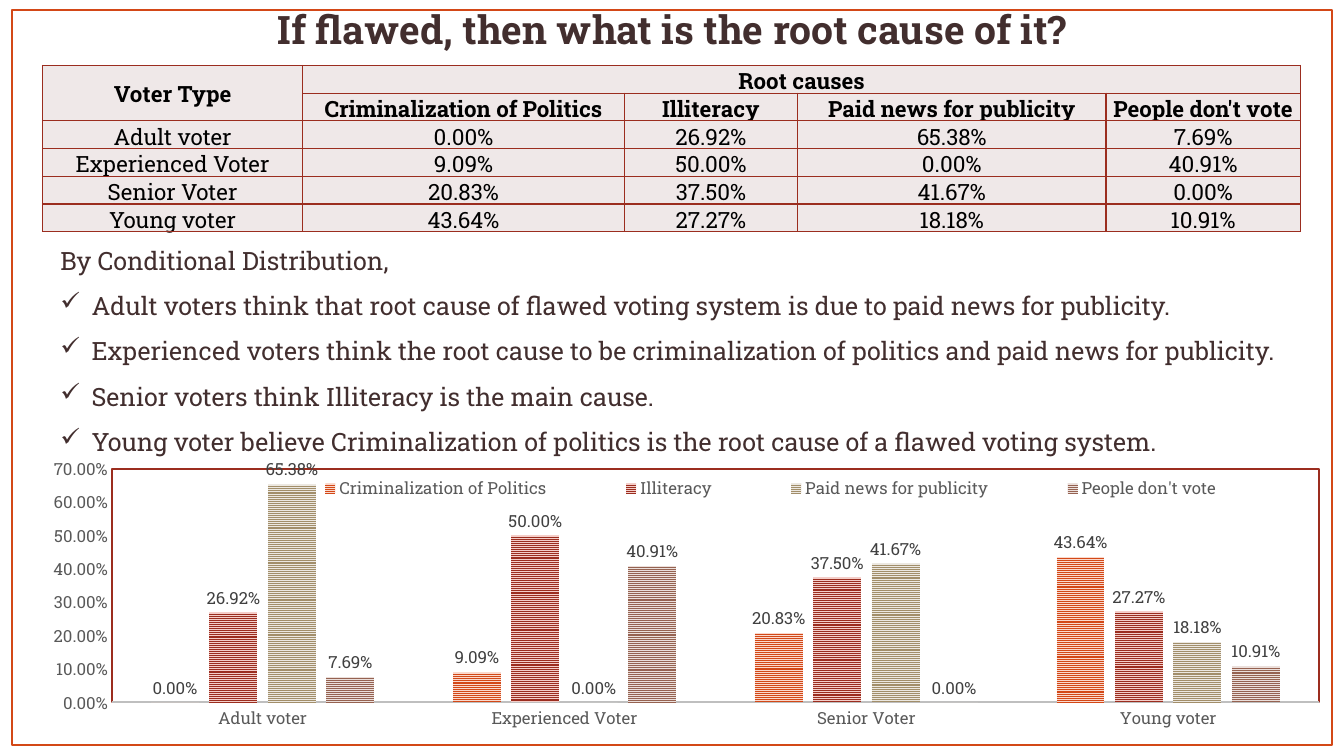
from pptx import Presentation
from pptx.chart.data import CategoryChartData as ChartData
from pptx.dml.color import RGBColor
from pptx.enum.chart import XL_CHART_TYPE as ChartType
from pptx.enum.chart import XL_LABEL_POSITION as LabelPos
from pptx.enum.chart import XL_LEGEND_POSITION as LegendPos
from pptx.enum.chart import XL_TICK_MARK as Tick
from pptx.enum.dml import MSO_PATTERN as Pattern
from pptx.enum.shapes import MSO_SHAPE as Shape
from pptx.enum.text import MSO_ANCHOR as Anchor
from pptx.enum.text import PP_ALIGN as Align
from pptx.oxml import parse_xml
from pptx.oxml.ns import nsdecls, qn
from pptx.oxml.xmlchemy import OxmlElement as Element
from pptx.util import Cm, Pt

FACE = "Roboto Slab"
DARK, RUST, ORANGE = "422E2E", "9B2D1F", "D34817"
FORMAT = "0.00%"

CAUSES = ["Criminalization of Politics", "Illiteracy",
          "Paid news for publicity", "People don't vote"]
VOTERS = {
    "Adult voter": [0, 0.2692, 0.6538, 0.0769],
    "Experienced Voter": [0.0909, 0.5, 0, 0.4091],
    "Senior Voter": [0.2083, 0.375, 0.4167, 0],
    "Young voter": [0.4364, 0.2727, 0.1818, 0.1091],
}
STRIPES = [(ORANGE, "FAD9CD"), (RUST, "F4CEC9"),
           ("A28E6A", "ECE8E1"), ("956251", "EBDFDB")]
POINTS = [
    "Adult voters think that root cause of flawed voting system is due to paid news for publicity.",
    "Experienced voters think the root cause to be criminalization of politics and paid news for publicity.",
    "Senior voters think Illiteracy is the main cause.",
    "Young voter believe Criminalization of politics is the root cause of a flawed voting system.",
]


def paint(color, value):
    color.rgb = RGBColor.from_string(value)


def style(font, size, color, bold=False):
    font.name, font.size, font.bold = FACE, Pt(size), bold
    paint(font.color, color)


def add_text(slide, top, height, lines, size, spacing, bold=False):
    """Add a text box as wide as the slide and return its paragraphs."""
    box = slide.shapes.add_textbox(0, Cm(top), Cm(33.87), Cm(height))
    frame = box.text_frame
    frame.word_wrap = True
    frame.text = "\n".join(lines)
    for para in frame.paragraphs:
        para.line_spacing = spacing
        style(para.font, size, DARK, bold)
    return frame.paragraphs


def indent(para, left, hang=0, mark=None):
    props = para._p.get_or_add_pPr()
    props.set("marL", str(Cm(left)))
    props.set("indent", str(-Cm(hang)))
    if mark:
        bullet = Element("a:buChar")
        bullet.set("char", mark)
        props.find(qn("a:defRPr")).addprevious(bullet)


def fill_cell(cell, text, bold):
    cell.text = text
    cell.vertical_anchor = Anchor.MIDDLE
    cell.margin_left = cell.margin_right = cell.margin_top = Cm(0.02)
    cell.margin_bottom = 0
    para = cell.text_frame.paragraphs[0]
    para.alignment = Align.CENTER
    style(para.font, 16, "000000", bold)
    cell.fill.solid()
    paint(cell.fill.fore_color, "EFE8E8")
    props = cell._tc.get_or_add_tcPr()
    for place, side in enumerate("LRTB"):
        props.insert(place, parse_xml(
            f'<a:ln{side} {nsdecls("a")} w="{Pt(1)}"><a:solidFill>'
            f'<a:srgbClr val="{RUST}"/></a:solidFill></a:ln{side}>'))


def add_table(slide):
    rows = [["Voter Type", "Root causes", "", "", ""], ["", *CAUSES]]
    rows += [[name, *(f"{share:.2%}" for share in shares)]
             for name, shares in VOTERS.items()]
    widths = [6.56, 8.1, 4.37, 7.77, 4.9]
    table = slide.shapes.add_table(
        len(rows), len(widths), Cm(1.07), Cm(1.65), Cm(sum(widths)), Cm(4.17)).table
    for column, width in zip(table.columns, widths):
        column.width = Cm(width)
    for r, row in enumerate(rows):
        table.rows[r].height = Cm(0.69)
        for c, text in enumerate(row):
            fill_cell(table.cell(r, c), text, r < 2)
    table.cell(0, 0).merge(table.cell(1, 0))
    table.cell(0, 1).merge(table.cell(0, 4))


def lay_out(part, index, target, *sizes):
    """Place a chart part by x, y, width and height as shares of the chart."""
    for old in part.findall(qn("c:layout")):
        part.remove(old)
    inner = '<c:layoutTarget val="inner"/>' if target else ""
    modes = '<c:xMode val="edge"/><c:yMode val="edge"/>'
    parts = "".join(f'<c:{key} val="{size}"/>' for key, size in zip("xywh", sizes))
    part.insert(index, parse_xml(
        f'<c:layout {nsdecls("c")}><c:manualLayout>{inner}{modes}{parts}'
        '</c:manualLayout></c:layout>'))


def style_axes(chart):
    for axis in (chart.category_axis, chart.value_axis):
        axis.major_tick_mark = axis.minor_tick_mark = Tick.NONE
        axis.has_major_gridlines = False
        style(axis.tick_labels.font, 12, "595959")
    line = chart.category_axis.format.line
    paint(line.color, "BFBFBF")
    line.width = Pt(1.5)
    scale = chart.value_axis
    scale.minimum_scale, scale.maximum_scale, scale.major_unit = 0, 0.7, 0.1
    scale.format.line.fill.background()
    scale.tick_labels.number_format = FORMAT
    scale.tick_labels.number_format_is_linked = False


def style_bars(chart):
    plot = chart.plots[0]
    plot.gap_width, plot.overlap = 164, -22
    plot.vary_by_categories = False
    for bars, (front, back) in zip(plot.series, STRIPES):
        fill = bars.format.fill
        fill.patterned()
        fill.pattern = Pattern.NARROW_HORIZONTAL
        paint(fill.fore_color, front)
        paint(fill.back_color, back)
        labels = bars.data_labels
        labels.show_value = True
        labels.position = LabelPos.OUTSIDE_END
        labels.number_format = FORMAT
        labels.number_format_is_linked = False
        style(labels.font, 12, "404040")


def add_chart(slide):
    data = ChartData(number_format=FORMAT)
    data.categories = list(VOTERS)
    for cause, shares in zip(CAUSES, zip(*VOTERS.values())):
        data.add_series(cause, shares)
    chart = slide.shapes.add_chart(
        ChartType.COLUMN_CLUSTERED, Cm(0.3), Cm(11.53), Cm(33.55), Cm(6.96), data).chart
    style(chart.font, 10, "000000")
    chart.has_title = False
    style_axes(chart)
    style_bars(chart)
    chart.has_legend = True
    legend = chart.legend
    legend.position = LegendPos.RIGHT
    legend.include_in_layout = False
    style(legend.font, 12, "595959")
    lay_out(chart.element.find(".//" + qn("c:legend")), 1, False, 0.18, 0.05, 0.78, 0.11)
    area = chart.element.find(".//" + qn("c:plotArea"))
    lay_out(area, 0, True, 0.075, 0.034, 0.907, 0.852)
    area.append(parse_xml(
        f'<c:spPr {nsdecls("c", "a")}><a:solidFill><a:srgbClr val="FFFFFF"/></a:solidFill>'
        f'<a:ln w="{Pt(1.5)}"><a:solidFill><a:srgbClr val="{RUST}"/></a:solidFill></a:ln>'
        '</c:spPr>'))


def add_frame(slide):
    frame = slide.shapes.add_shape(
        Shape.RECTANGLE, Cm(0.3), Cm(0.25), Cm(33.27), Cm(18.52))
    frame.shadow.inherit = False
    frame.fill.background()
    paint(frame.line.color, ORANGE)
    frame.line.width = Pt(1)


def main():
    deck = Presentation()
    deck.slide_width, deck.slide_height = Cm(33.87), Cm(19.05)
    slide = deck.slides.add_slide(deck.slide_layouts[6])
    title = add_text(
        slide, 0, 1.5, ["If flawed, then what is the root cause of it?"], 28, 1.0, True)
    title[0].alignment = Align.CENTER
    intro, *points = add_text(
        slide, 5.67, 5.9, ["By Conditional Distribution,", *POINTS], 18, 1.5)
    indent(intro, 1.27)
    for point in points:
        indent(point, 2.06, 0.79, "✓")
    add_table(slide)
    add_chart(slide)
    add_frame(slide)
    deck.save("out.pptx")


if __name__ == "__main__":
    main()
